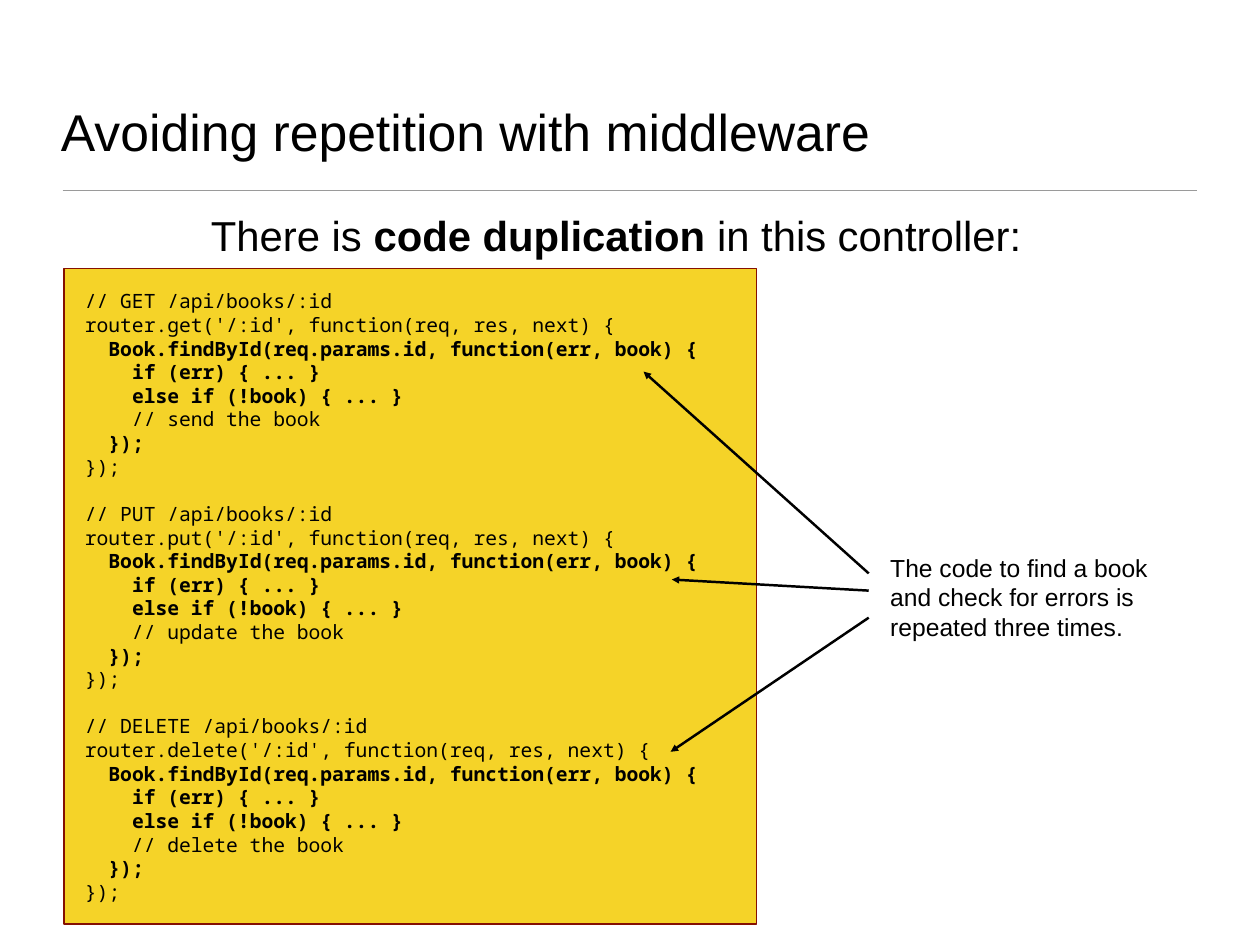
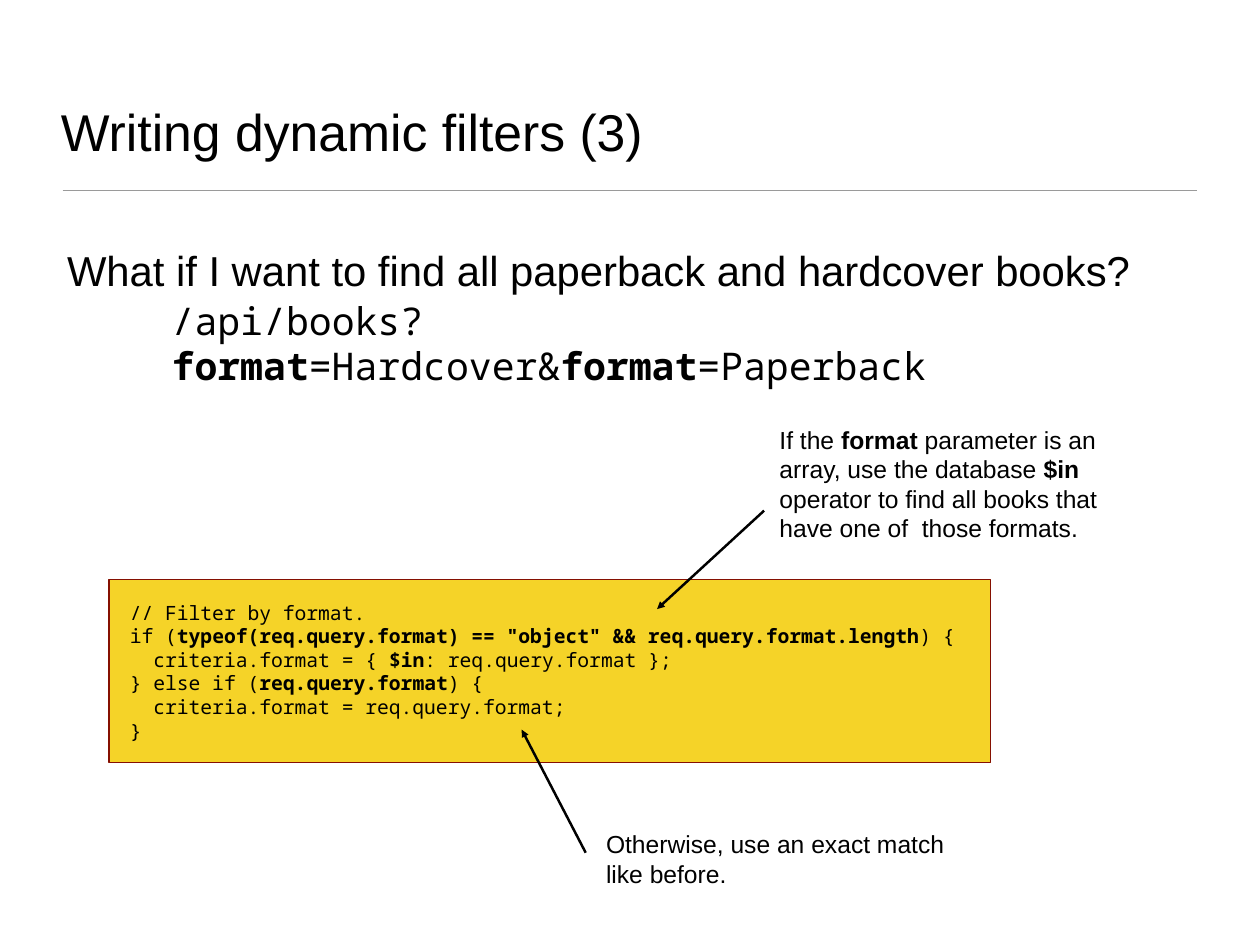
import dataclasses

import pptx
import pptx.dml.color
import pptx.enum.shapes
import pptx.enum.text
import pptx.util
from lxml import etree
from pptx.oxml.ns import qn

Pt = pptx.util.Pt
RGB = pptx.dml.color.RGBColor.from_string
ANCHOR = pptx.enum.text.MSO_ANCHOR


@dataclasses.dataclass(frozen=True)
class Theme:
    ink: str = "000000"
    rule: str = "9A9A9A"
    code_fill: str = "F5D328"
    code_edge: str = "851001"
    sans: str = "Arial"
    mono: str = "Noto Sans Mono"
    title: int = 42
    heading: int = 34
    address: int = 31
    note: int = 20
    code: int = 16
    leading: float = 1.2
    inset: float = 4.5
    code_inset: float = 17


THEME = Theme()

ROUTE = """// {verb} /api/books/:id
router.{method}('/:id', function(req, res, next) {{
  **Book.findById(req.params.id, function(err, book) {{**
    **if (err) {{ ... }}**
    **else if (!book) {{ ... }}**
    // {action} the book
  **}});**
}});"""

ROUTES = [("GET", "send"), ("PUT", "update"), ("DELETE", "delete")]

FILTER = """// Filter by format.
if (**typeof(req.query.format) == "object" && req.query.format.length**) {
  criteria.format = { **$in**: req.query.format };
} else if (**req.query.format**) {
  criteria.format = req.query.format;
}"""


def write(shape, text, size, font=THEME.sans, anchor=ANCHOR.MIDDLE, inset=THEME.inset):
    """Fill a shape with one paragraph per line; ** switches bold on and off."""
    frame = shape.text_frame
    frame.word_wrap = True
    frame.vertical_anchor = anchor
    frame.margin_left = frame.margin_right = Pt(inset)
    frame.margin_top = frame.margin_bottom = Pt(inset)
    for number, line in enumerate(text.split("\n")):
        para = frame.add_paragraph() if number else frame.paragraphs[0]
        para.alignment = pptx.enum.text.PP_ALIGN.LEFT
        para.line_spacing = Pt(size * THEME.leading)
        for position, part in enumerate(line.split("**")):
            if part:
                span = para.add_run()
                span.text = part
                span.font.name = font
                span.font.size = Pt(size)
                span.font.bold = position % 2 == 1
                span.font.color.rgb = RGB(THEME.ink)


def add_text(page, box, text, size, **form):
    write(page.shapes.add_textbox(*map(Pt, box)), text, size, **form)


def add_line(page, start, end, color, width):
    line = page.shapes.add_connector(
        pptx.enum.shapes.MSO_CONNECTOR.STRAIGHT, *map(Pt, (*start, *end)))
    line.line.color.rgb = RGB(color)
    line.line.width = Pt(width)
    etree.SubElement(line._element.spPr, qn("a:effectLst"))
    return line


def add_page(deck, title):
    """Add a blank page with the shared title and rule."""
    page = deck.slides.add_slide(deck.slide_layouts[6])
    add_line(page, (51, 155), (973, 155), THEME.rule, 1)
    add_text(page, (45, 26, 934, 110), title, THEME.title, anchor=ANCHOR.BOTTOM)
    return page


def add_code(page, box, code):
    panel = page.shapes.add_shape(
        pptx.enum.shapes.MSO_SHAPE.RECTANGLE, *map(Pt, box))
    panel.shadow.inherit = False
    panel.fill.solid()
    panel.fill.fore_color.rgb = RGB(THEME.code_fill)
    panel.line.color.rgb = RGB(THEME.code_edge)
    panel.line.width = Pt(1)
    write(panel, code, THEME.code, font=THEME.mono, inset=THEME.code_inset)


def add_callout(page, box, text, arrows):
    """Add a note and its arrows, given as (start, tip) offsets from the note's corner."""
    add_text(page, box, text, THEME.note)
    left, top = box[:2]
    for start, tip in arrows:
        arrow = add_line(page, *((left + x, top + y) for x, y in (start, tip)),
                         THEME.ink, 2)
        etree.SubElement(arrow.line._get_or_add_ln(), qn("a:tailEnd"), type="triangle")


def add_middleware_page(deck):
    page = add_page(deck, "Avoiding repetition with middleware")
    code = "\n\n".join(
        ROUTE.format(verb=verb, method=verb.lower(), action=action)
        for verb, action in ROUTES)
    add_code(page, (52, 218, 563, 533), code)
    add_text(page, (167, 166, 690, 49),
             "There is **code duplication** in this controller:", THEME.heading)
    add_callout(
        page, (719, 445, 255, 80),
        "The code to find a book and check for errors is repeated three times.",
        [((-13, 21), (-196, -143)), ((-13, 35), (-173, 26)), ((-13, 57), (-174, 166))])


def add_filter_page(deck):
    page = add_page(deck, "Writing dynamic filters (3)")
    add_code(page, (88.5, 471, 716.5, 149), FILTER)
    add_text(page, (135, 256, 754, 45),
             "/api/books?**format**=Hardcover&**format**=Paperback",
             THEME.address, font=THEME.mono)
    add_text(page, (50, 195, 924, 49),
             "What if I want to find all paperback and hardcover books?", THEME.heading)
    add_callout(
        page, (629, 341, 307, 104),
        "If the **format** parameter is an array, use the database **$in** operator "
        "to find all books that have one of  those formats.",
        [((-8, 74), (-95, 154))])
    add_callout(
        page, (488, 670, 307, 56), "Otherwise, use an exact match like before.",
        [((-12, 23), (-64, -77))])


def main():
    deck = pptx.Presentation()
    deck.slide_width, deck.slide_height = Pt(1024), Pt(768)
    add_middleware_page(deck)
    add_filter_page(deck)
    deck.save("out.pptx")


if __name__ == "__main__":
    main()
